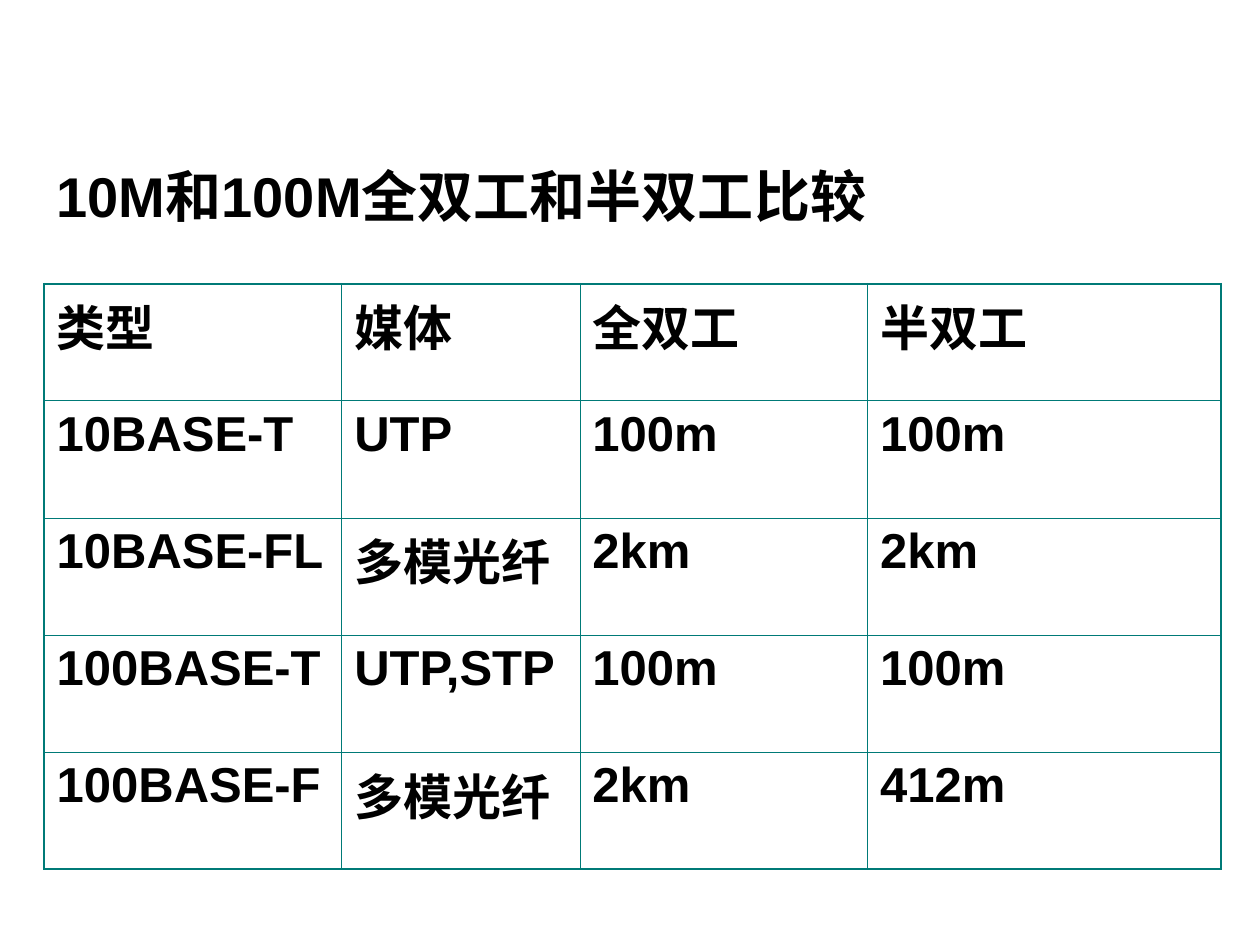
from lxml.etree import SubElement
from pptx import Presentation
from pptx.dml.color import RGBColor
from pptx.enum.text import MSO_ANCHOR
from pptx.oxml.ns import qn
from pptx.util import Cm, Pt

TITLE = "10M和100M全双工和半双工比较"
ROWS = [
    ("类型", "媒体", "全双工", "半双工"),
    ("10BASE-T", "UTP", "100m", "100m"),
    ("10BASE-FL", "多模光纤", "2km", "2km"),
    ("100BASE-T", "UTP,STP", "100m", "100m"),
    ("100BASE-F", "多模光纤", "2km", "412m"),
]
WIDTHS = (6, 4.8, 5.8, 7.13)
HIGH = 2.36
LEFT = 0.89
THIN, THICK = Pt(0.45), Pt(1.08)
BLACK = RGBColor(0, 0, 0)
TEAL = RGBColor(0x00, 0x7A, 0x77)


def write(frame, text, size):
    frame.text = text
    font = frame.paragraphs[0].runs[0].font
    font.name, font.size, font.bold = "Arial", Pt(size), True
    font.color.rgb = BLACK


def edge(cell, sides):
    props = cell._tc.get_or_add_tcPr()
    for side, outer in sides:
        width = THICK if outer else THIN
        line = SubElement(props, qn(f"a:ln{side}"), w=str(width))
        fill = SubElement(line, qn("a:solidFill"))
        SubElement(fill, qn("a:srgbClr"), val=str(TEAL))


def main():
    deck = Presentation()
    deck.slide_width, deck.slide_height = Cm(25.4), Cm(19.05)
    slide = deck.slides.add_slide(deck.slide_layouts[6])

    count, last = len(ROWS), len(WIDTHS) - 1
    grid = slide.shapes.add_table(
        count, len(WIDTHS), Cm(LEFT), Cm(5.72), Cm(sum(WIDTHS)), Cm(HIGH * count)
    ).table
    grid.first_row = grid.horz_banding = False
    for col, width in zip(grid.columns, WIDTHS):
        col.width = Cm(width)
    for r, row in enumerate(ROWS):
        grid.rows[r].height = Cm(HIGH)
        for c, text in enumerate(row):
            cell = grid.cell(r, c)
            write(cell.text_frame, text, 28)
            edge(cell, (("L", c == 0), ("R", c == last),
                        ("T", r == 0), ("B", r == count - 1)))
            cell.fill.background()

    title = slide.shapes.add_textbox(Cm(LEFT), Cm(3.12), Cm(23.8), Cm(1.63))
    frame = title.text_frame
    frame.word_wrap = True
    frame.vertical_anchor = MSO_ANCHOR.MIDDLE
    write(frame, TITLE, 32)

    deck.save("out.pptx")


if __name__ == "__main__":
    main()
